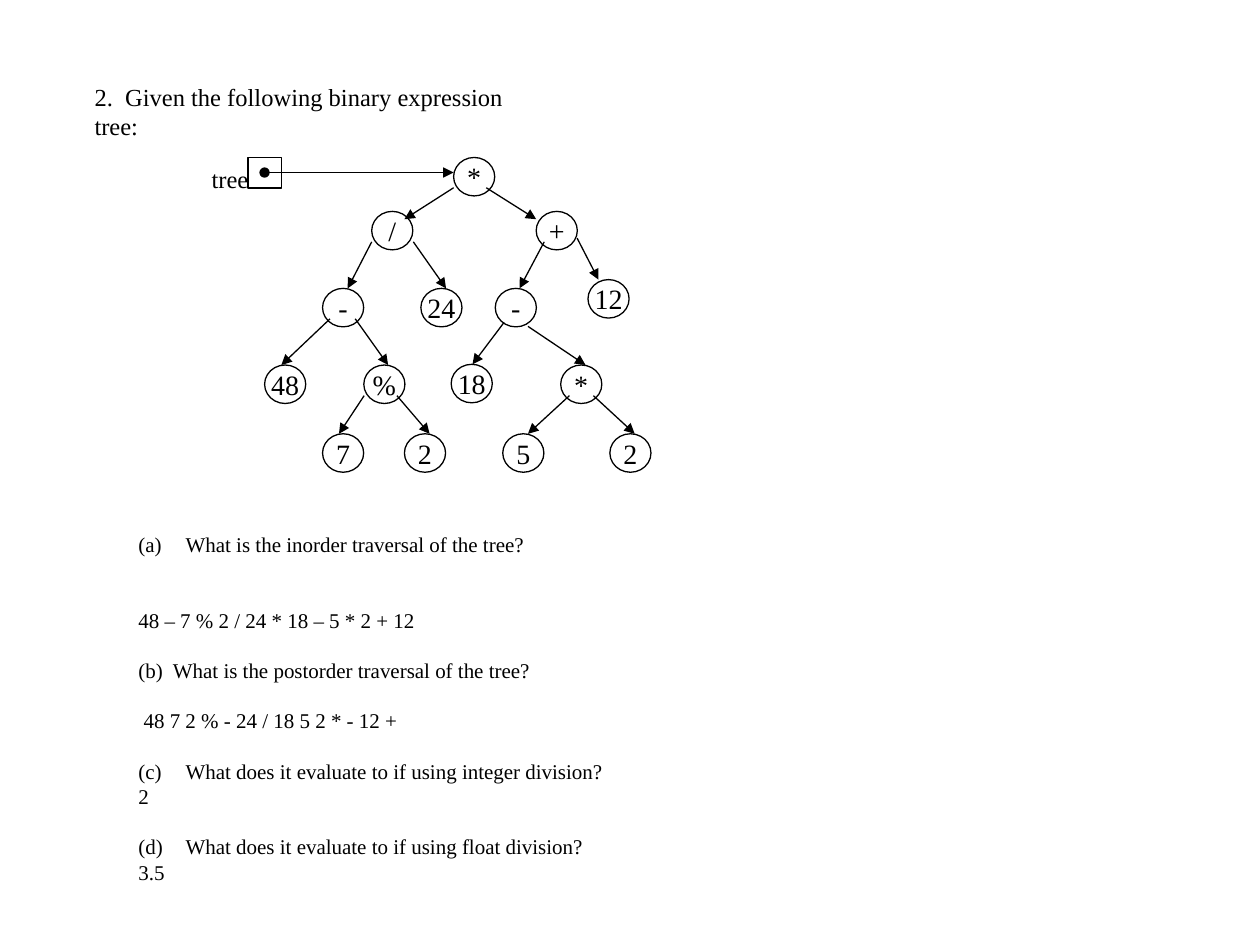
from dataclasses import dataclass

from lxml import etree
from pptx import Presentation
from pptx.dml.color import RGBColor
from pptx.enum.shapes import MSO_CONNECTOR, MSO_SHAPE
from pptx.enum.text import MSO_ANCHOR, MSO_AUTO_SIZE, PP_ALIGN
from pptx.oxml.ns import qn
from pptx.util import Pt

ELLIPSE, RECTANGLE = MSO_SHAPE.OVAL, MSO_SHAPE.RECTANGLE
STRAIGHT = MSO_CONNECTOR.STRAIGHT
TOP, MIDDLE = MSO_ANCHOR.TOP, MSO_ANCHOR.MIDDLE
LEFT, CENTER = PP_ALIGN.LEFT, PP_ALIGN.CENTER
NO_AUTOFIT = MSO_AUTO_SIZE.NONE

COLORS = {"ink": "000000"}
FONT = "Times New Roman"
TITLE_SIZE, BODY_SIZE, NODE_SIZE = 14, 12, 16
LINE_RATIO = 1.2
LINE_WIDTH = 0.75
NODE_WIDTH, NODE_HEIGHT = 23.5, 22
NUMBER_INDENT = 27
TITLE_ONLY_LAYOUT = 5


@dataclass
class Node:
    label: str
    left: float
    top: float


@dataclass
class Edge:
    start: tuple[float, float]
    end: tuple[float, float]
    head: str = ""


@dataclass
class Line:
    text: str
    gap_lines: int = 0  # empty line heights above the paragraph
    number: int = 0  # automatic letter: 1 is (a)


NODES = [
    Node("*", 259.2, 90),
    Node("/", 212.4, 120.8), Node("+", 306.4, 120.8),
    Node("-", 184.3, 164.8), Node("24", 240.5, 164.8),
    Node("-", 283, 164.8), Node("12", 336, 159.8),
    Node("48", 151.2, 208.6), Node("%", 207.9, 208.6),
    Node("18", 257.8, 208.2), Node("*", 320.4, 208.6),
    Node("7", 184.3, 247.9), Node("2", 231.1, 247.9),
    Node("5", 287.3, 247.9), Node("2", 348.5, 247.9),
]

EDGES = [
    Edge((151.2, 98.6), (259.2, 98.6), head="oval"),
    Edge((259.2, 107.3), (231.1, 125.3)), Edge((277.9, 107.3), (306.4, 125.3)),
    Edge((212.4, 138.2), (198.7, 164.8)), Edge((236.2, 138.2), (254.9, 164.8)),
    Edge((311, 138.2), (296.9, 164.8)), Edge((329.8, 136.1), (342, 159.8)),
    Edge((188.6, 182.2), (160.8, 208.6)), Edge((203, 182.2), (221.8, 208.6)),
    Edge((288, 184.3), (270, 208.2)), Edge((301.7, 186.5), (334.6, 208.6)),
    Edge((208.1, 226.1), (193.7, 247.9)), Edge((226.8, 226.1), (245.5, 247.9)),
    Edge((325.4, 226.1), (301.7, 247.9)), Edge((339.1, 226.1), (362.7, 247.9)),
]

QUESTIONS = [
    Line("What is the inorder traversal of the tree?", number=1),
    Line("48 – 7 % 2 / 24 * 18 – 5 * 2 + 12", gap_lines=2),
    Line("(b)  What is the postorder traversal of the tree?", gap_lines=1),
    Line(" 48 7 2 % - 24 / 18 5 2 * - 12 +", gap_lines=1),
    Line("What does it evaluate to if using integer division?", gap_lines=1, number=3),
    Line("2"),
    Line("What does it evaluate to if using float division?", gap_lines=1, number=4),
    Line("3.5"),
]


def ink() -> RGBColor:
    return RGBColor.from_string(COLORS["ink"])


def format_paragraph(para, size: float, align=LEFT) -> None:
    para.alignment = align
    for span in para.runs:
        span.font.name = FONT
        span.font.size = Pt(size)
        span.font.color.rgb = ink()


def add_number(para, start: int) -> None:
    properties = para._p.get_or_add_pPr()
    properties.set("marL", str(Pt(NUMBER_INDENT)))
    properties.set("indent", str(-Pt(NUMBER_INDENT)))
    number = etree.SubElement(properties, qn("a:buAutoNum"))
    number.set("type", "alphaLcParenBoth")
    number.set("startAt", str(start))


def draw_outline(page, kind, left: float, top: float, width: float, height: float):
    shape = page.shapes.add_shape(kind, Pt(left), Pt(top), Pt(width), Pt(height))
    shape.shadow.inherit = False
    shape.fill.background()
    shape.line.color.rgb = ink()
    shape.line.width = Pt(LINE_WIDTH)
    return shape


def draw_node(page, node: Node) -> None:
    circle = draw_outline(page, ELLIPSE, node.left, node.top, NODE_WIDTH, NODE_HEIGHT)
    frame = circle.text_frame
    frame.margin_left = frame.margin_right = frame.margin_top = frame.margin_bottom = 0
    frame.word_wrap = False
    frame.vertical_anchor = MIDDLE
    frame.text = node.label
    format_paragraph(frame.paragraphs[0], NODE_SIZE, CENTER)


def draw_edge(page, edge: Edge) -> None:
    points = [Pt(value) for value in (*edge.start, *edge.end)]
    arrow = page.shapes.add_connector(STRAIGHT, *points)
    arrow.line.color.rgb = ink()
    arrow.line.width = Pt(LINE_WIDTH)
    outline = arrow.line._get_or_add_ln()
    if edge.head:
        etree.SubElement(outline, qn("a:headEnd")).set("type", edge.head)
    etree.SubElement(outline, qn("a:tailEnd")).set("type", "triangle")
    etree.SubElement(arrow._element.spPr, qn("a:effectLst"))


def write_title(page) -> None:
    title = page.shapes.title
    title.left, title.top, title.width, title.height = Pt(46.8), Pt(43.2), Pt(275.8), Pt(41)
    frame = title.text_frame
    frame.word_wrap = True
    frame.auto_size = NO_AUTOFIT
    frame.vertical_anchor = TOP
    frame.text = "2.  Given the following binary expression tree:"
    para = frame.paragraphs[0]
    para.line_spacing = Pt(TITLE_SIZE * LINE_RATIO)
    format_paragraph(para, TITLE_SIZE)


def write_questions(page) -> None:
    box = page.shapes.add_textbox(Pt(72), Pt(300.2), Pt(283.7), Pt(239.8))
    frame = box.text_frame
    frame.word_wrap = True
    frame.text = "\n".join(line.text for line in QUESTIONS)
    pitch = BODY_SIZE * LINE_RATIO
    for para, line in zip(frame.paragraphs, QUESTIONS):
        para.line_spacing = Pt(pitch)
        para.space_before = Pt(pitch * line.gap_lines)
        format_paragraph(para, BODY_SIZE)
        if line.number:
            add_number(para, line.number)


def draw_pointer(page) -> None:
    draw_outline(page, RECTANGLE, 141.8, 90, 19, 17.5)
    label = page.shapes.add_textbox(Pt(113.8), Pt(90), Pt(35.3), Pt(23.8))
    label.text_frame.word_wrap = False
    label.text_frame.text = "tree"
    format_paragraph(label.text_frame.paragraphs[0], TITLE_SIZE)


def main() -> None:
    deck = Presentation()
    deck.slide_width, deck.slide_height = Pt(720), Pt(540)
    page = deck.slides.add_slide(deck.slide_layouts[TITLE_ONLY_LAYOUT])

    # Text
    write_title(page)
    write_questions(page)

    # Expression tree
    draw_pointer(page)
    for node in NODES:
        draw_node(page, node)
    for edge in EDGES:
        draw_edge(page, edge)

    deck.save("out.pptx")


if __name__ == "__main__":
    main()
